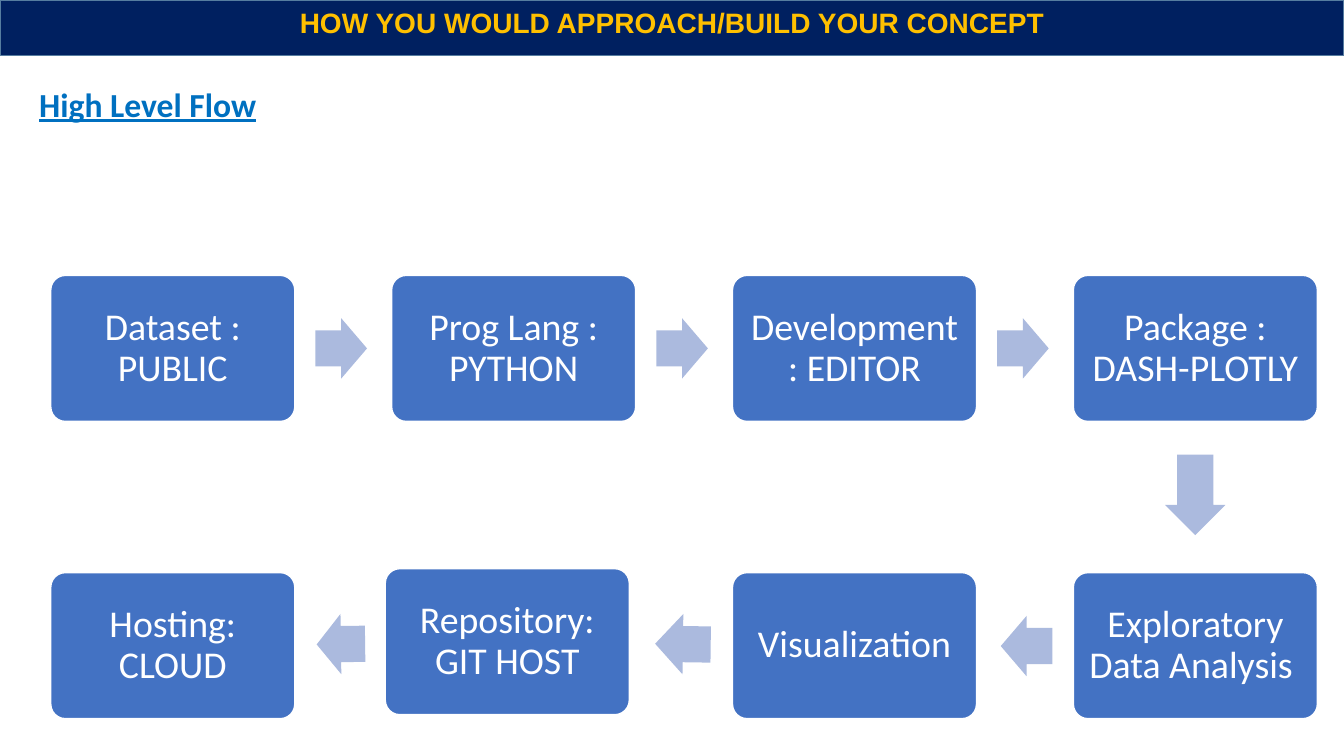
from pptx import Presentation
from pptx.dml.color import RGBColor
from pptx.enum import shapes, text
from pptx.util import Cm, Pt

NAVY = RGBColor(0x00, 0x20, 0x60)
STEEL = RGBColor(0x56, 0x7D, 0xA0)
GOLD = RGBColor(0xFF, 0xC0, 0x00)
HEADING_BLUE = RGBColor(0x00, 0x70, 0xC0)
STEP_BLUE = RGBColor(0x43, 0x72, 0xC3)
ARROW_BLUE = RGBColor(0xAB, 0xBA, 0xDE)
WHITE = RGBColor(0xFF, 0xFF, 0xFF)

SLIDE_WIDTH, SLIDE_HEIGHT = 33.87, 19.05
STEP_WIDTH, STEP_HEIGHT = 6.15, 3.68
FIRST_LEFT, STEP_PITCH = 1.28, 8.59
TOP_ROW, BOTTOM_ROW = 6.94, 14.43
ARROW_BREADTH = 1.52

FORWARD_STEPS = ["Dataset : PUBLIC", "Prog Lang : PYTHON",
                 "Development : EDITOR", "Package : DASH-PLOTLY"]
# Label with its shift from the grid, left to right
RETURN_STEPS = [("Hosting: CLOUD", 0, 0), ("Repository: GIT HOST", -0.16, -0.1),
                ("Visualization", 0, 0), ("Exploratory Data Analysis ", 0, 0)]
# Centre x, centre y, length, rotation
RETURN_ARROWS = [(30.12, 12.47, 2.03, 90), (25.87, 16.28, 1.3, 180),
                 (17.21, 16.23, 1.4, 180.8), (8.59, 16.23, 1.22, 179.2)]


def add_filled_shape(slide, preset, left, top, width, height, fill, line=None):
    shape = slide.shapes.add_shape(preset, Cm(left), Cm(top), Cm(width), Cm(height))
    shape.shadow.inherit = False
    shape.fill.solid()
    shape.fill.fore_color.rgb = fill
    if line is None:
        shape.line.fill.background()
    else:
        shape.line.color.rgb = line
        shape.line.width = Pt(1)
    return shape


def write(shape, wording, font_name, size, color, align, anchor, inset=(0.25, 0.13)):
    """Put one run of text in the shape and return the run's paragraph and font."""
    frame = shape.text_frame
    frame.word_wrap = True
    frame.vertical_anchor = anchor
    frame.margin_left = frame.margin_right = Cm(inset[0])
    frame.margin_top = frame.margin_bottom = Cm(inset[1])
    paragraph = frame.paragraphs[0]
    paragraph.alignment = align
    run = paragraph.add_run()
    run.text = wording
    run.font.name = font_name
    run.font.size = Pt(size)
    run.font.color.rgb = color
    return paragraph, run.font


def add_title_bar(slide, wording):
    bar = add_filled_shape(slide, shapes.MSO_SHAPE.RECTANGLE,
                           0, 0, SLIDE_WIDTH, 1.4, NAVY, STEEL)
    _, font = write(bar, wording, "Arial", 20, GOLD,
                    text.PP_ALIGN.CENTER, text.MSO_ANCHOR.TOP)
    font.bold = True


def add_heading(slide, wording):
    heading = slide.shapes.add_textbox(Cm(0.74), Cm(1.98), Cm(8.56), Cm(1.27))
    _, font = write(heading, wording, "Calibri", 24, HEADING_BLUE,
                    text.PP_ALIGN.LEFT, text.MSO_ANCHOR.TOP)
    font.bold = True
    font.underline = True


def add_step(slide, wording, left, top):
    step = add_filled_shape(slide, shapes.MSO_SHAPE.ROUNDED_RECTANGLE,
                            left, top, STEP_WIDTH, STEP_HEIGHT, STEP_BLUE, WHITE)
    step.adjustments[0] = 0.1
    paragraph, _ = write(step, wording, "Calibri", 27, WHITE,
                         text.PP_ALIGN.CENTER, text.MSO_ANCHOR.MIDDLE, (0.28, 0.28))
    paragraph.line_spacing = 0.9


def add_arrow(slide, center_x, center_y, length, rotation=0):
    arrow = add_filled_shape(slide, shapes.MSO_SHAPE.RIGHT_ARROW,
                             center_x - length / 2, center_y - ARROW_BREADTH / 2,
                             length, ARROW_BREADTH, ARROW_BLUE)
    arrow.adjustments[0] = 0.6
    arrow.adjustments[1] = 0.5
    arrow.rotation = rotation


def main():
    deck = Presentation()
    deck.slide_width, deck.slide_height = Cm(SLIDE_WIDTH), Cm(SLIDE_HEIGHT)
    slide = deck.slides.add_slide(deck.slide_layouts[6])

    add_title_bar(slide, "HOW YOU WOULD APPROACH/BUILD YOUR CONCEPT")
    add_heading(slide, "High Level Flow")

    for column, wording in enumerate(FORWARD_STEPS):
        add_step(slide, wording, FIRST_LEFT + column * STEP_PITCH, TOP_ROW)
    for column, (wording, shift_x, shift_y) in enumerate(RETURN_STEPS):
        add_step(slide, wording, FIRST_LEFT + column * STEP_PITCH + shift_x,
                 BOTTOM_ROW + shift_y)

    for gap in range(len(FORWARD_STEPS) - 1):
        add_arrow(slide, 8.6 + gap * STEP_PITCH, TOP_ROW + STEP_HEIGHT / 2, 1.3)
    for center_x, center_y, length, rotation in RETURN_ARROWS:
        add_arrow(slide, center_x, center_y, length, rotation)

    deck.save("out.pptx")


if __name__ == "__main__":
    main()
